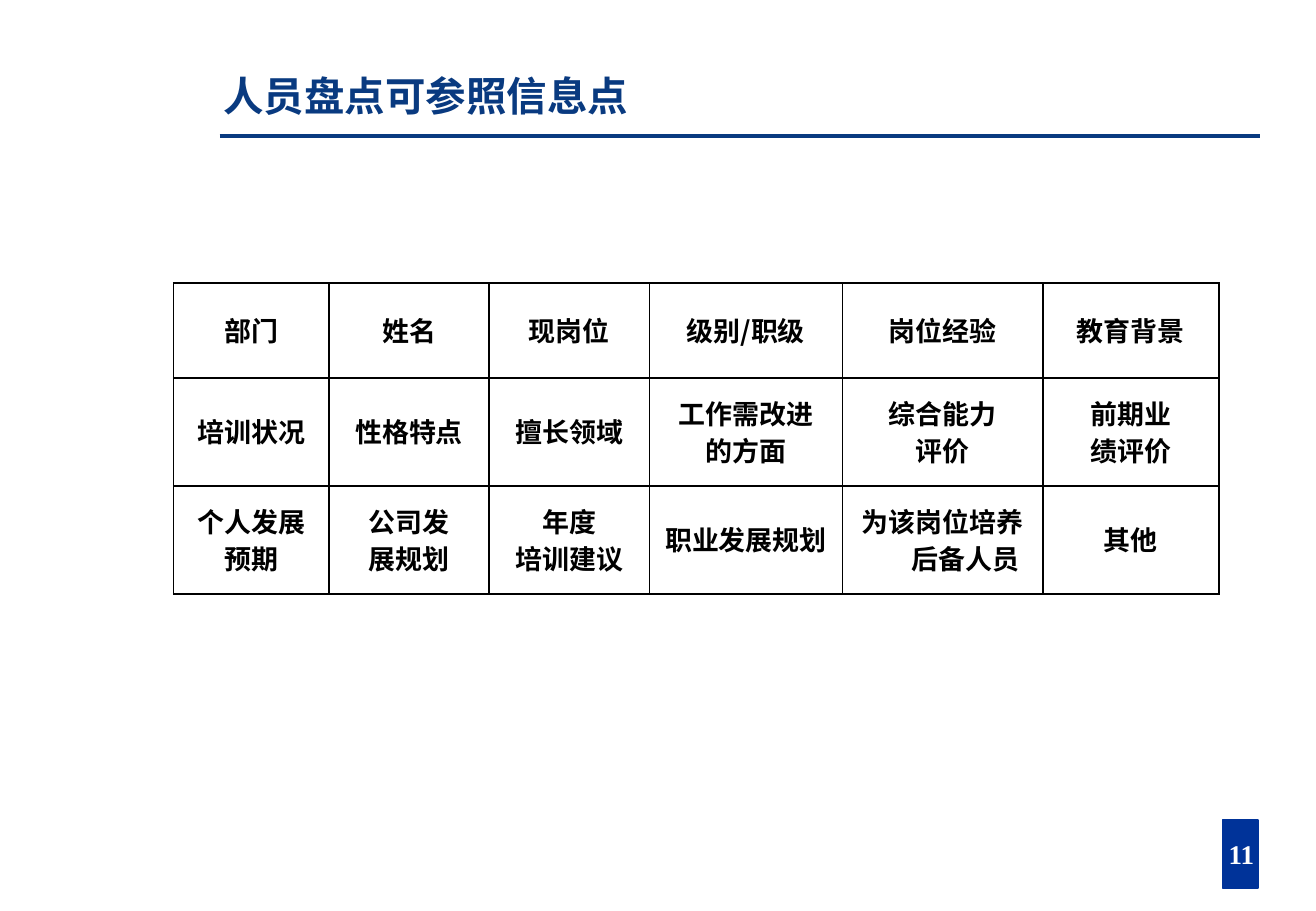
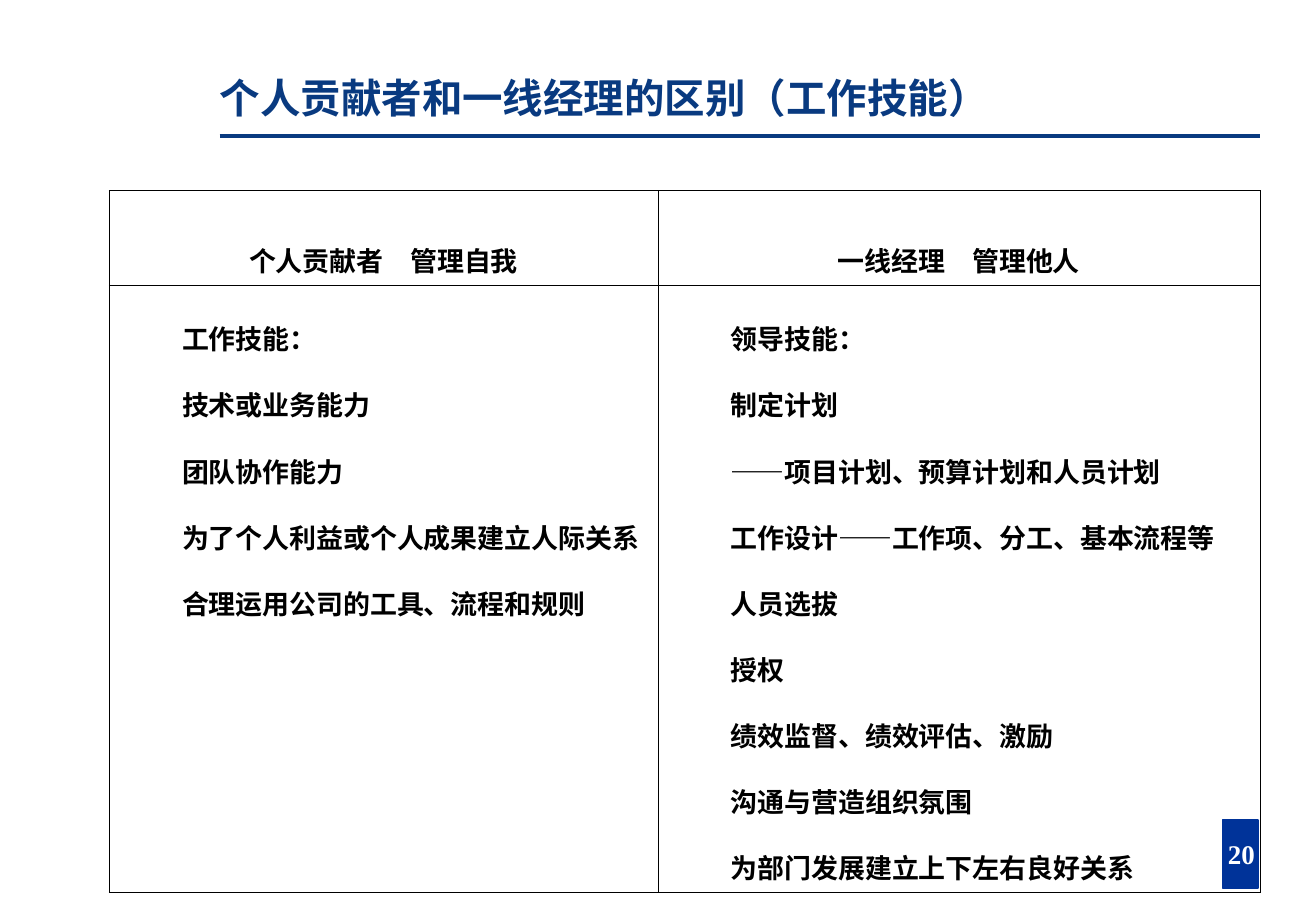
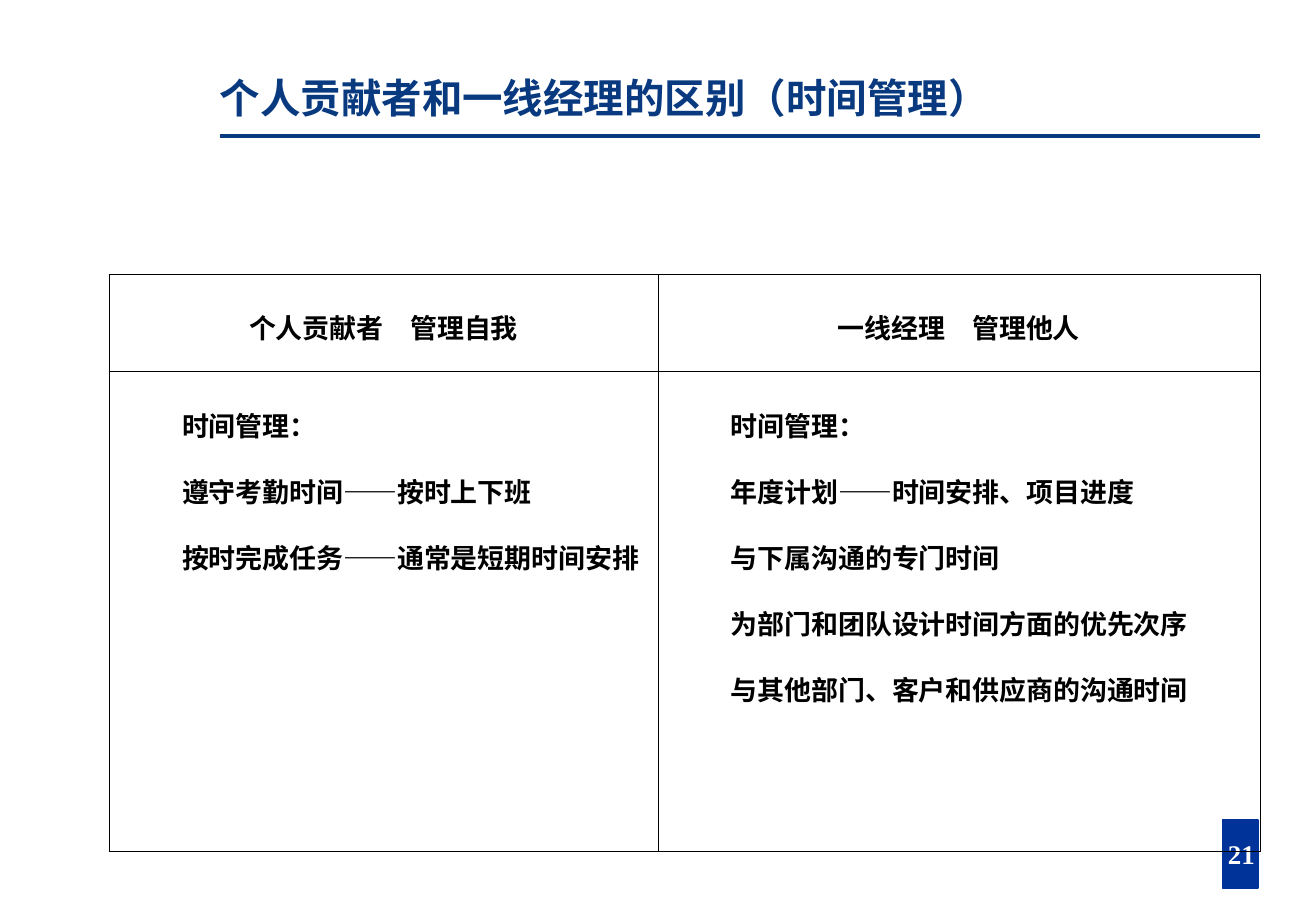
from dataclasses import dataclass

from pptx import Presentation
from pptx.dml.color import RGBColor as RGB
from pptx.enum.shapes import MSO_CONNECTOR as Link, MSO_SHAPE as Shape
from pptx.enum.text import MSO_ANCHOR as Anchor, MSO_AUTO_SIZE as Fit, PP_ALIGN as Align
from pptx.oxml.ns import qn
from pptx.slide import Slide
from pptx.table import Table, _Cell as Cell
from pptx.text.text import TextFrame
from pptx.util import Inches, Pt
from lxml.etree import SubElement


@dataclass(frozen=True)
class Theme:
    navy: RGB = RGB(0x09, 0x3A, 0x80)
    blue: RGB = RGB(0x00, 0x33, 0x99)
    black: RGB = RGB(0, 0, 0)
    white: RGB = RGB(255, 255, 255)
    sans: str = "Noto Sans CJK SC"
    serif: str = "Times New Roman"
    head: int = 24
    body: int = 16


THEME = Theme()


@dataclass(frozen=True)
class Style:
    """How the paragraphs of one text look; lengths are in inches."""
    font: str
    color: RGB = THEME.black
    size: int = THEME.body
    align: Align = Align.CENTER
    space: float = 1.0
    left: float = 0
    hang: float = 0


TITLE = Style(THEME.sans, THEME.navy, THEME.head, Align.LEFT, 0.8)
PAGE = Style(THEME.serif, THEME.white)
GRID = Style(THEME.sans, space=0.95, left=0.38, hang=-0.38)
HEAD = Style(THEME.serif)
TALL = Style(THEME.serif, space=1.7)
LIST = Style(THEME.serif, align=Align.LEFT, space=1.7, left=0.5)


@dataclass(frozen=True)
class Pair:
    """A slide that sets the contributor beside the manager."""
    page: int
    topic: str
    top: float
    rows: tuple[float, float]
    head: Style
    anchor: Anchor
    lists: tuple[str, str]


FIELDS = (
    ("部门", "姓名", "现岗位", "级别/职级", "岗位经验", "教育背景"),
    ("培训状况", "性格特点", "擅长领域", "工作需改进\n的方面", "综合能力\n评价", "前期业\n绩评价"),
    ("个人发展\n预期", "公司发\n展规划", "年度\n培训建议", "职业发展规划", "为该岗位培养后备人员", "其他"),
)
ROLES = ("个人贡献者　管理自我", "一线经理　管理他人")
PAIRS = (
    Pair(20, "工作技能", 1.57, (0.78, 5.0), HEAD, Anchor.BOTTOM, (
        "工作技能：\n技术或业务能力\n团队协作能力\n"
        "为了个人利益或个人成果建立人际关系\n合理运用公司的工具、流程和规则",
        "领导技能：\n制定计划\n——项目计划、预算计划和人员计划\n"
        "工作设计——工作项、分工、基本流程等\n人员选拔\n授权\n"
        "绩效监督、绩效评估、激励\n沟通与营造组织氛围\n"
        "为部门发展建立上下左右良好关系")),
    Pair(21, "时间管理", 2.26, (0.8, 3.95), TALL, Anchor.TOP, (
        "时间管理：\n遵守考勤时间——按时上下班\n按时完成任务——通常是短期时间安排",
        "时间管理：\n年度计划——时间安排、项目进度\n与下属沟通的专门时间\n"
        "为部门和团队设计时间方面的优先次序\n与其他部门、客户和供应商的沟通时间")),
)


def write(frame: TextFrame, text: str, style: Style) -> None:
    frame.text = text
    for para in frame.paragraphs:
        para.alignment = style.align
        para.line_spacing = style.space
        font = para.font
        font.name, font.size, font.bold = style.font, Pt(style.size), True
        font.color.rgb = style.color
        props = para._p.get_or_add_pPr()
        props.set("marL", str(Inches(style.left)))
        props.set("indent", str(Inches(style.hang)))
        SubElement(props.find(qn("a:defRPr")), qn("a:ea"), typeface=THEME.sans)
        for run in para.runs:
            run.font.name = style.font
            SubElement(run._r.rPr, qn("a:ea"), typeface=THEME.sans)


def clear(frame: TextFrame) -> None:
    """Take away the inner margins."""
    frame.margin_left = frame.margin_right = 0
    frame.margin_top = frame.margin_bottom = 0


def add_page(deck: Presentation, page: int, title: str,
             left: float, top: float, high: float) -> Slide:
    """Add a slide with its title, rule and page badge."""
    slide = deck.slides.add_slide(deck.slide_layouts[5])
    head = slide.shapes.title
    head.left, head.top = Inches(left), Inches(top)
    head.width, head.height = Inches(10.38 - left), Inches(high)
    frame = head.text_frame
    clear(frame)
    frame.auto_size, frame.vertical_anchor = Fit.NONE, Anchor.BOTTOM
    write(frame, title, TITLE)

    rule = slide.shapes.add_connector(
        Link.STRAIGHT, Inches(1.81), Inches(1.12), Inches(10.38), Inches(1.12))
    rule.line.color.rgb, rule.line.width = THEME.navy, Pt(2)
    SubElement(rule._element.spPr, qn("a:effectLst"))

    badge = slide.shapes.add_shape(
        Shape.RECTANGLE, Inches(10.07), Inches(6.75), Inches(0.29), Inches(0.56))
    badge.shadow.inherit = False
    badge.fill.solid()
    badge.fill.fore_color.rgb = badge.line.color.rgb = THEME.blue
    badge.line.width = Pt(1)
    frame = badge.text_frame
    clear(frame)
    frame.margin_left = Inches(0.02)
    frame.word_wrap, frame.vertical_anchor = False, Anchor.MIDDLE
    write(frame, str(page), PAGE)
    return slide


def add_grid(slide: Slide, left: float, top: float,
             cols: tuple[float, ...], rows: tuple[float, ...]) -> Table:
    table = slide.shapes.add_table(
        len(rows), len(cols), Inches(left), Inches(top),
        Inches(sum(cols)), Inches(sum(rows))).table
    table.first_row = table.horz_banding = False
    for col, wide in zip(table.columns, cols):
        col.width = Inches(wide)
    for row, high in zip(table.rows, rows):
        row.height = Inches(high)
    return table


def fill_cell(cell: Cell, text: str, style: Style, anchor: Anchor, line: float) -> None:
    props = cell._tc.get_or_add_tcPr()
    for side in ("lnL", "lnR", "lnT", "lnB"):
        edge = SubElement(props, qn(f"a:{side}"), w=str(Pt(line)))
        paint = SubElement(edge, qn("a:solidFill"))
        SubElement(paint, qn("a:srgbClr"), val=str(THEME.black))
    cell.fill.background()
    cell.vertical_anchor = anchor
    write(cell.text_frame, text, style)


def add_fields(deck: Presentation) -> None:
    slide = add_page(deck, 11, "人员盘点可参照信息点", 1.84, 0.37, 0.61)
    table = add_grid(slide, 1.43, 2.33,
                     (1.28, 1.32, 1.32, 1.59, 1.65, 1.45), (0.78, 0.89, 0.89))
    for row, texts in enumerate(FIELDS):
        for col, text in enumerate(texts):
            fill_cell(table.cell(row, col), text, GRID, Anchor.MIDDLE, 1.08)


def add_pair(deck: Presentation, pair: Pair) -> None:
    title = f"个人贡献者和一线经理的区别（{pair.topic}）"
    slide = add_page(deck, pair.page, title, 1.81, 0.25, 0.75)
    table = add_grid(slide, 0.9, pair.top, (4.52, 4.96), pair.rows)
    for col, (role, text) in enumerate(zip(ROLES, pair.lists)):
        fill_cell(table.cell(0, col), role, pair.head, pair.anchor, 0.45)
        fill_cell(table.cell(1, col), text, LIST, Anchor.TOP, 0.45)


def main() -> None:
    deck = Presentation()
    deck.slide_width, deck.slide_height = Inches(10.84), Inches(7.5)
    add_fields(deck)
    for pair in PAIRS:
        add_pair(deck, pair)
    deck.save("out.pptx")


if __name__ == "__main__":
    main()
